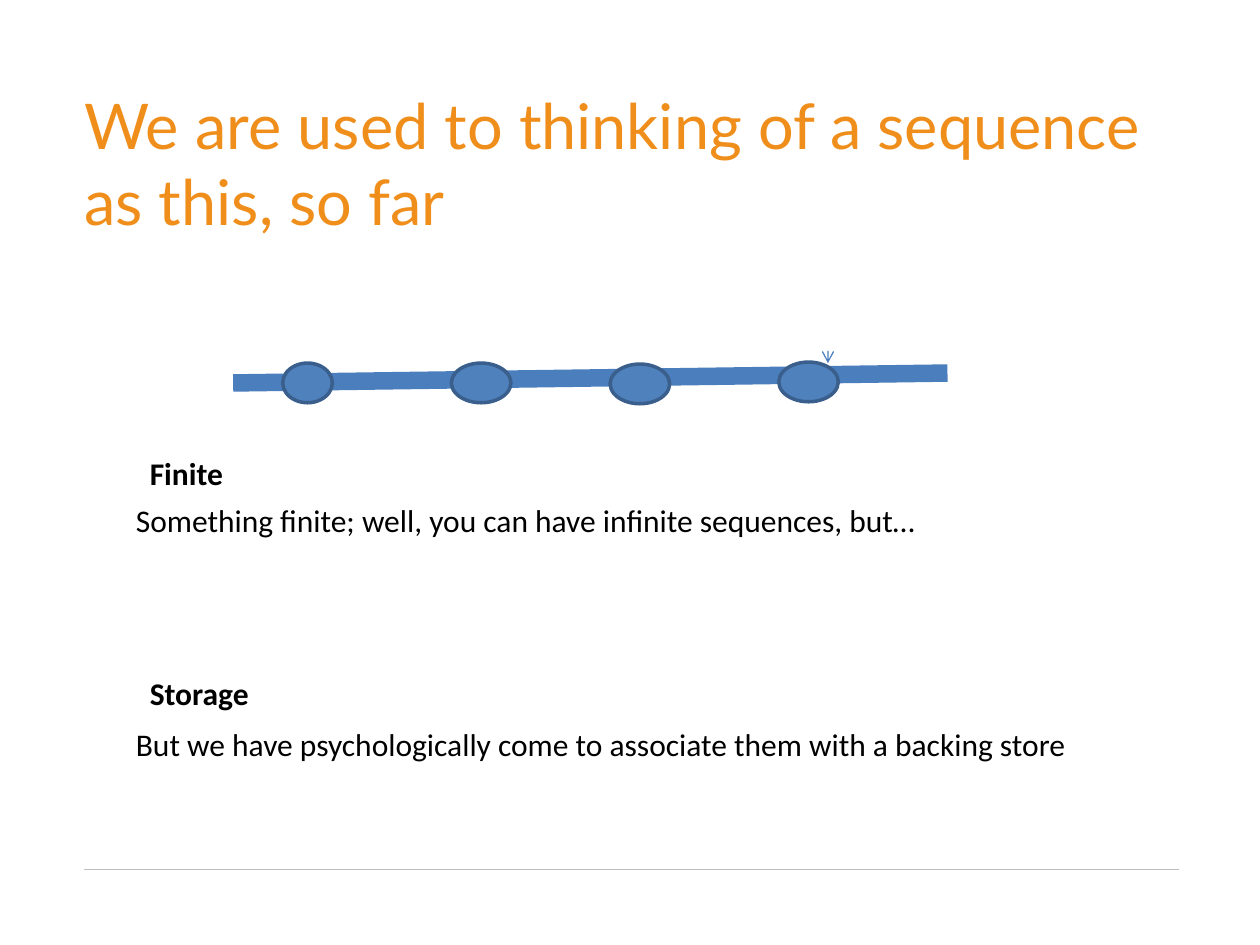
import pptx
import pptx.util
import pptx.dml.color
import pptx.enum.shapes
import pptx.enum.text
import pptx.oxml.ns
import lxml.etree
from pptx.util import Cm

BLACK, ORANGE, GREY = "000000", "F08E1B", "BFBFBF"
FILL, OUTLINE, STRING = "4F81BD", "3A5F8C", "4B7EBC"


def color(value):
    return pptx.dml.color.RGBColor.from_string(value)


def add_text(s, text, x, y, w, h, size=18, font="Calibri", fill=BLACK, bold=False):
    tf = s.shapes.add_textbox(Cm(x), Cm(y), Cm(w), Cm(h)).text_frame
    r = tf.paragraphs[0].add_run()
    r.text = text
    r.font.size = pptx.util.Pt(size)
    r.font.name = font
    r.font.bold = bold
    r.font.color.rgb = color(fill)
    return tf


def add_label(s, text, x, y, w, bold=False):
    tf = add_text(s, text, x, y, w, 1.02, bold=bold)
    tf.word_wrap = False
    tf.auto_size = pptx.enum.text.MSO_AUTO_SIZE.SHAPE_TO_FIT_TEXT


def add_line(s, x1, y1, x2, y2, stroke, width, arrow=False):
    line = s.shapes.add_connector(
        pptx.enum.shapes.MSO_CONNECTOR.STRAIGHT, Cm(x1), Cm(y1), Cm(x2), Cm(y2))
    line.line.color.rgb = color(stroke)
    line.line.width = pptx.util.Pt(width)
    qn = pptx.oxml.ns.qn
    if arrow:
        lxml.etree.SubElement(line.line._get_or_add_ln(), qn("a:tailEnd"), type="arrow")
    lxml.etree.SubElement(line._element.spPr, qn("a:effectLst"))


def add_bead(s, x, y, w):
    sp = s.shapes.add_shape(
        pptx.enum.shapes.MSO_SHAPE.OVAL, Cm(x), Cm(y), Cm(w), Cm(0.8))
    sp.shadow.inherit = False
    sp.fill.solid()
    sp.fill.fore_color.rgb = color(FILL)
    sp.line.color.rgb = color(OUTLINE)
    sp.line.width = pptx.util.Pt(2)


def main():
    prs = pptx.Presentation()
    prs.slide_width, prs.slide_height = Cm(25.4), Cm(19.05)
    s = prs.slides.add_slide(prs.slide_layouts[6])

    # Footer rule
    add_line(s, 1.7, 17.53, 23.77, 17.53, GREY, 0.75)

    # Title
    tf = add_text(s, "We are used to thinking of a sequence as this, so far",
                  1.7, 1.93, 22.2, 2.82, 36, "Lato", ORANGE)
    tf.word_wrap = True
    tf.vertical_anchor = pptx.enum.text.MSO_ANCHOR.MIDDLE
    tf.margin_left = tf.margin_top = 0

    # Beads on a string, with a small pointer at the last one
    add_line(s, 16.69, 7.14, 16.69, 7.32, STRING, 0.75, arrow=True)
    add_line(s, 4.7, 7.72, 19.1, 7.52, STRING, 10)
    for x, y, w in [(5.7, 7.32, 1), (9.1, 7.32, 1.2), (12.3, 7.34, 1.2), (15.7, 7.3, 1.2)]:
        add_bead(s, x, y, w)

    # Headings, each with its explanation below
    for heading, y, heading_w, text, text_y, text_w in [
        ("Finite", 9.02, 2.01,
         "Something finite; well, you can have infinite sequences, but…", 9.98, 16.48),
        ("Storage", 13.46, 2.51,
         "But we have psychologically come to associate them with a backing store",
         14.5, 19.33),
    ]:
        add_label(s, heading, 2.77, y, heading_w, bold=True)
        add_label(s, text, 2.49, text_y, text_w)

    prs.save("out.pptx")


if __name__ == "__main__":
    main()
